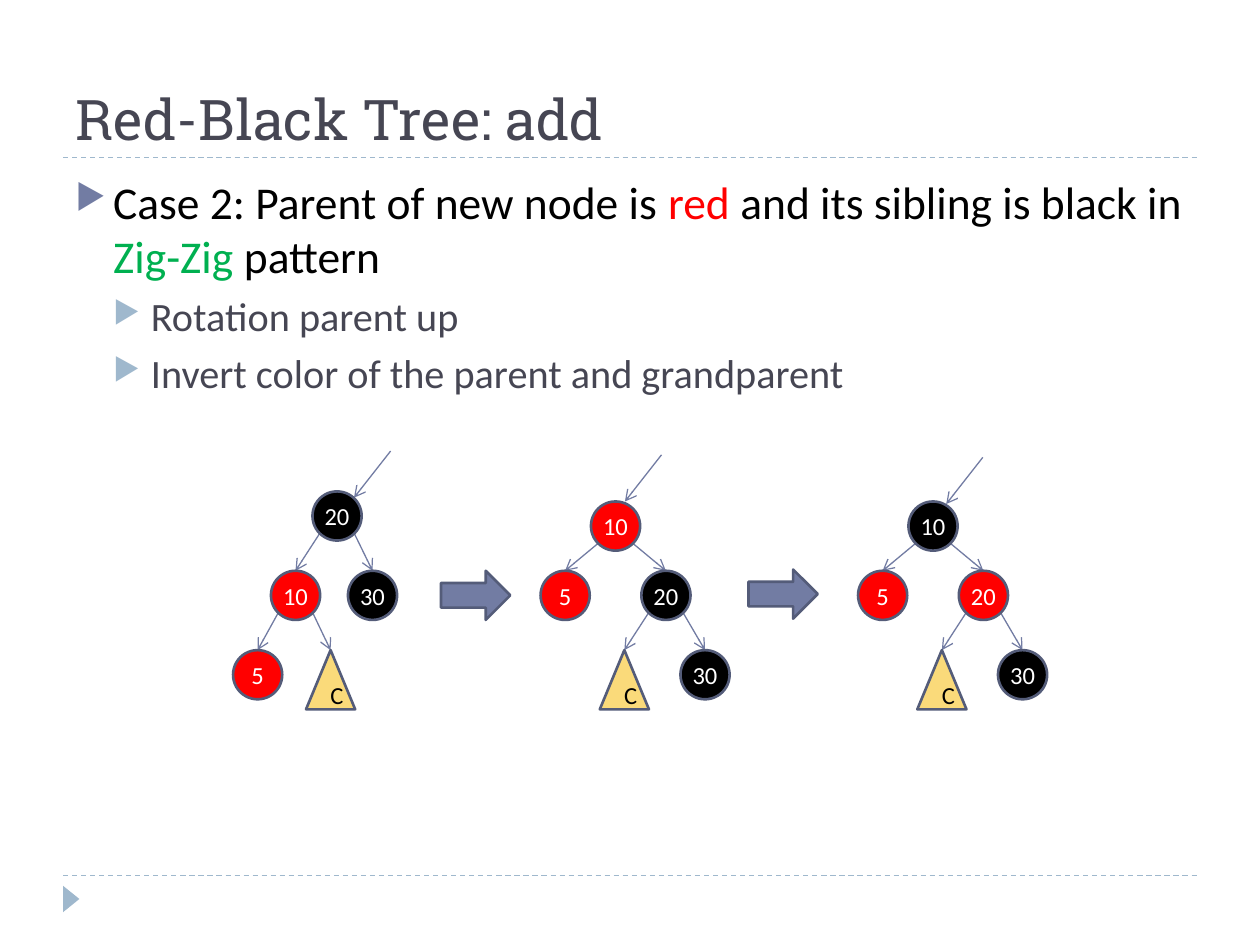
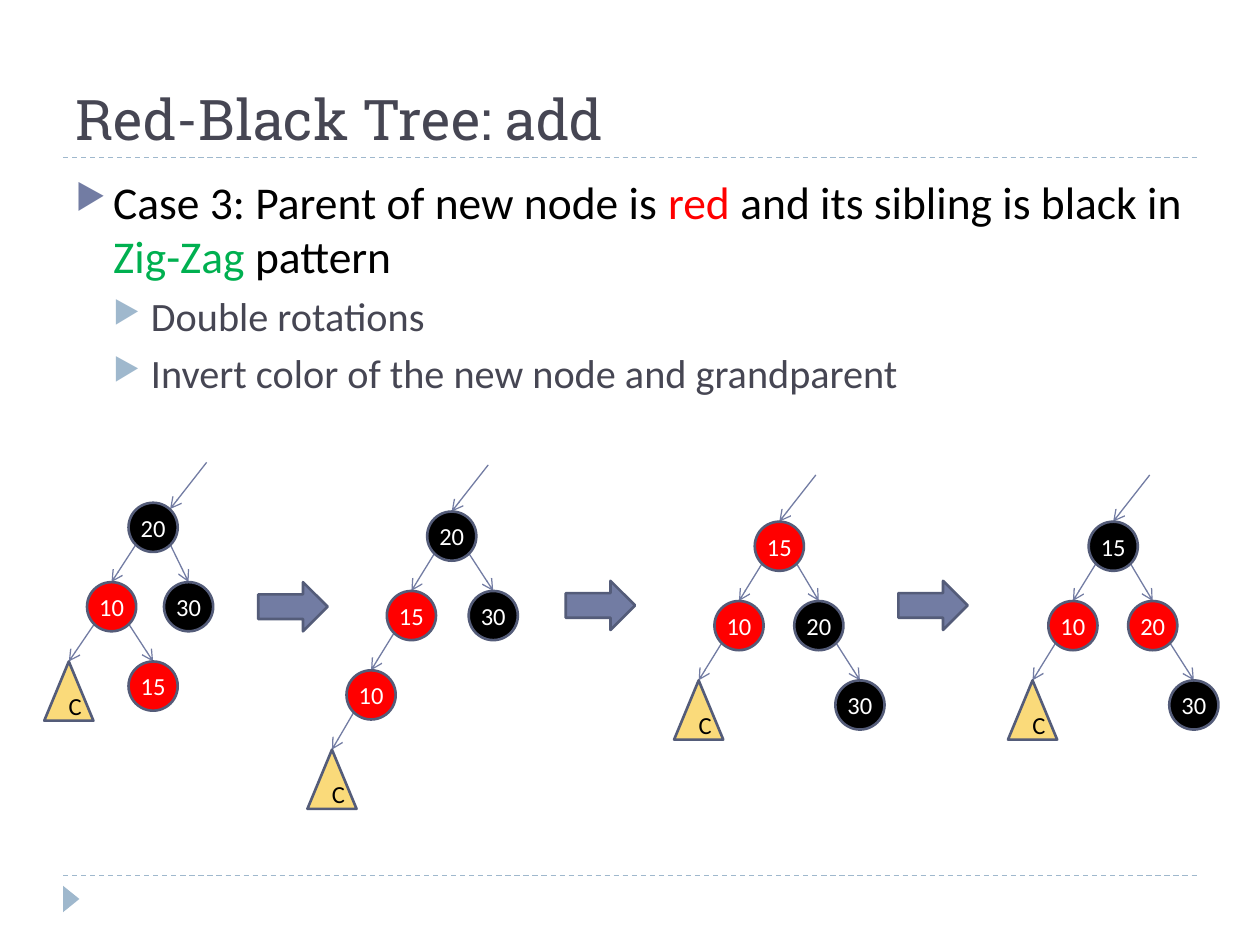
"""Build two slides on red-black tree insertion: the Zig-Zig and Zig-Zag cases."""
from lxml import etree
from pptx import Presentation
from pptx import util as u
from pptx.dml.color import RGBColor
from pptx.enum import dml, shapes, text
from pptx.oxml.ns import qn

INK, BLACK, WHITE, RED, GREEN = "464653", "000000", "FFFFFF", "FF0000", "00B050"
ACCENT, OUTLINE, PALE, SUBTREE = "727CA3", "545C79", "9FB8CD", "FADA7A"
HEAD_FONT, BODY_FONT = "Roboto Slab", "Calibri"

WIDTH, HEIGHT, MARGIN = 10, 7.5, 0.5
RULES = (1.25, 6.95)
COL, ROW, SHORT_ROW = 0.32, 0.63, 0.55
NODE, TRIANGLE_H = 0.39, 0.47
ARROW_W, ARROW_H = 0.55, 0.39
EDGE_X, EDGE_Y = 0.06, 0.33
ENTRY_RUN = (0.29, -0.37)
CORNER, TOP = (0.33, 0.05), (NODE / 2, 0)

TITLE = "Red-Black Tree: add"

# Each node is (label, index of its parent, column relative to the root).
BEFORE_ZIG = [("20", None, 0), ("10", 0, -1.03), ("30", 0, 0.88),
              ("5", 1, -1.97), ("C", 1, -0.16)]
AFTER_ZIG = [("10", None, 0), ("5", 0, -1.25), ("20", 0, 1.25),
             ("C", 2, 0.22), ("30", 2, 2.22)]
BEFORE_ZAG = [("20", None, 0), ("10", 0, -1.03), ("30", 0, 0.88),
              ("C", 1, -2.09), ("15", 1, 0)]
HALF_ZAG = [("20", None, 0), ("15", 0, -1), ("30", 0, 1.03),
            ("10", 1, -2), ("C", 3, -2.97)]
AFTER_ZAG = [("15", None, 0), ("10", 0, -1), ("20", 0, 0.98),
             ("C", 1, -2), ("30", 2, 2)]

# Each tree is (nodes, node colours, root corner, entry point, first row height).
SLIDES = [
    {
        "case": "Case 2", "pattern": "Zig-Zig",
        "steps": ["Rotation parent up",
                  "Invert color of the parent and grandparent"],
        "trees": [
            (BEFORE_ZIG, "BRBR-", (2.48, 3.9), CORNER, ROW),
            (AFTER_ZIG, "RRB-B", (4.69, 3.98), (0.27, 0), SHORT_ROW),
            (AFTER_ZIG, "BRR-B", (7.21, 3.98), (0.3, 0.02), SHORT_ROW),
        ],
        "arrows": [(3.5, 4.53), (5.94, 4.52)],
    },
    {
        "case": "Case 3", "pattern": "Zig-Zag",
        "steps": ["Double rotations",
                  "Invert color of the new node and grandparent"],
        "trees": [
            (BEFORE_ZAG, "BRB-R", (1.02, 3.99), CORNER, ROW),
            (HALF_ZAG, "BRBR-", (3.39, 4.06), TOP, ROW),
            (AFTER_ZAG, "RRB-B", (5.99, 4.14), TOP, ROW),
            (AFTER_ZAG, "BRR-B", (8.64, 4.14), TOP, ROW),
        ],
        "arrows": [(2.05, 4.62), (4.49, 4.61), (7.13, 4.61)],
    },
]
FILLS = {"R": RED, "B": BLACK, "-": SUBTREE}


def rgb(value):
    return RGBColor.from_string(value)


def box(*lengths):
    return [u.Inches(n) for n in lengths]


def write(p, words, size=14, font=BODY_FONT, color=BLACK):
    r = p.add_run()
    r.text = words
    r.font.size, r.font.name = u.Pt(size), font
    r.font.color.rgb = rgb(color)


def set_bullet(p, level, color):
    pPr = p._p.get_or_add_pPr()
    step = u.Inches(0.3)
    pPr.set("marL", str(step * (level + 1)))
    pPr.set("indent", str(-step))
    clr = etree.SubElement(pPr, qn("a:buClr"))
    etree.SubElement(clr, qn("a:srgbClr"), val=color)
    etree.SubElement(pPr, qn("a:buSzPct"), val="76000")
    etree.SubElement(pPr, qn("a:buChar"), char="▶")


def add_shape(s, kind, x, y, w, h, fill, line=OUTLINE):
    sp = s.shapes.add_shape(kind, *box(x, y, w, h))
    sp.shadow.inherit = False
    sp.fill.solid()
    sp.fill.fore_color.rgb = rgb(fill)
    if line:
        sp.line.color.rgb = rgb(line)
        sp.line.width = u.Pt(1.5)
    else:
        sp.line.fill.background()
    return sp


def add_line(s, start, end, color=ACCENT, arrow=True):
    c = s.shapes.add_connector(shapes.MSO_CONNECTOR.STRAIGHT, *box(*start, *end))
    c.line.color.rgb = rgb(color)
    c.line.width = u.Pt(0.75)
    if arrow:
        etree.SubElement(c.line._get_or_add_ln(), qn("a:tailEnd"), type="arrow")
    else:
        c.line.dash_style = dml.MSO_LINE.DASH
    etree.SubElement(c._element.spPr, qn("a:effectLst"))


def add_textbox(s, y, h, anchor):
    tf = s.shapes.add_textbox(*box(MARGIN, y, WIDTH - 2 * MARGIN, h)).text_frame
    tf.word_wrap = True
    tf.vertical_anchor = anchor
    return tf


def add_frame(s):
    for y in reversed(RULES):
        add_line(s, (MARGIN, y), (WIDTH - MARGIN, y), PALE, arrow=False)
    marker = add_shape(s, shapes.MSO_SHAPE.ISOSCELES_TRIANGLE,
                       0.46, 7.07, 0.21, 0.13, PALE, line=None)
    marker.rotation = 90
    tf = add_textbox(s, 0.17, 1.08, text.MSO_ANCHOR.BOTTOM)
    write(tf.paragraphs[0], TITLE, size=32, font=HEAD_FONT, color=INK)


def add_body(s, case, pattern, steps):
    tf = add_textbox(s, 1.33, 5.4, text.MSO_ANCHOR.TOP)
    p = tf.paragraphs[0]
    p.space_before = u.Pt(6)
    set_bullet(p, 0, ACCENT)
    for words, color in [(f"{case}: Parent of new node is ", BLACK), ("red", RED),
                         (" and its sibling is black in ", BLACK),
                         (pattern, GREEN), (" pattern", BLACK)]:
        write(p, words, size=26, color=color)
    for step in steps:
        p = tf.add_paragraph()
        p.level = 1
        p.space_before = u.Pt(5)
        set_bullet(p, 1, PALE)
        write(p, step, size=23, color=INK)


def add_node(s, label, fill, x, y):
    leaf = label == "C"
    kind = shapes.MSO_SHAPE.ISOSCELES_TRIANGLE if leaf else shapes.MSO_SHAPE.OVAL
    sp = add_shape(s, kind, x, y, NODE, TRIANGLE_H if leaf else NODE, fill)
    tf = sp.text_frame
    tf.vertical_anchor = text.MSO_ANCHOR.MIDDLE
    if not leaf:
        tf.margin_left = tf.margin_right = tf.margin_top = tf.margin_bottom = 0
    p = tf.paragraphs[0]
    p.alignment = text.PP_ALIGN.CENTER
    write(p, label, color=BLACK if leaf else WHITE)


def add_tree(s, nodes, colours, root, entry, first_row):
    spots = []
    for _, parent, col in nodes:
        if parent is None:
            spots.append(root)
            end = (root[0] + entry[0], root[1] + entry[1])
            add_line(s, (end[0] + ENTRY_RUN[0], end[1] + ENTRY_RUN[1]), end)
            continue
        px, py = spots[parent]
        x, y = root[0] + col * COL, py + (ROW if parent else first_row)
        spots.append((x, y))
        side = EDGE_X if x < px else NODE - EDGE_X
        add_line(s, (px + side, py + EDGE_Y), (x + NODE / 2, y))
    for (label, _, _), colour, spot in zip(nodes, colours, spots):
        add_node(s, label, FILLS[colour], *spot)


def main():
    prs = Presentation()
    prs.slide_width, prs.slide_height = box(WIDTH, HEIGHT)
    for content in SLIDES:
        s = prs.slides.add_slide(prs.slide_layouts[6])
        add_frame(s)
        add_body(s, content["case"], content["pattern"], content["steps"])
        for tree in content["trees"]:
            add_tree(s, *tree)
        for x, y in content["arrows"]:
            add_shape(s, shapes.MSO_SHAPE.RIGHT_ARROW, x, y, ARROW_W, ARROW_H, ACCENT)
    prs.save("out.pptx")


if __name__ == "__main__":
    main()
